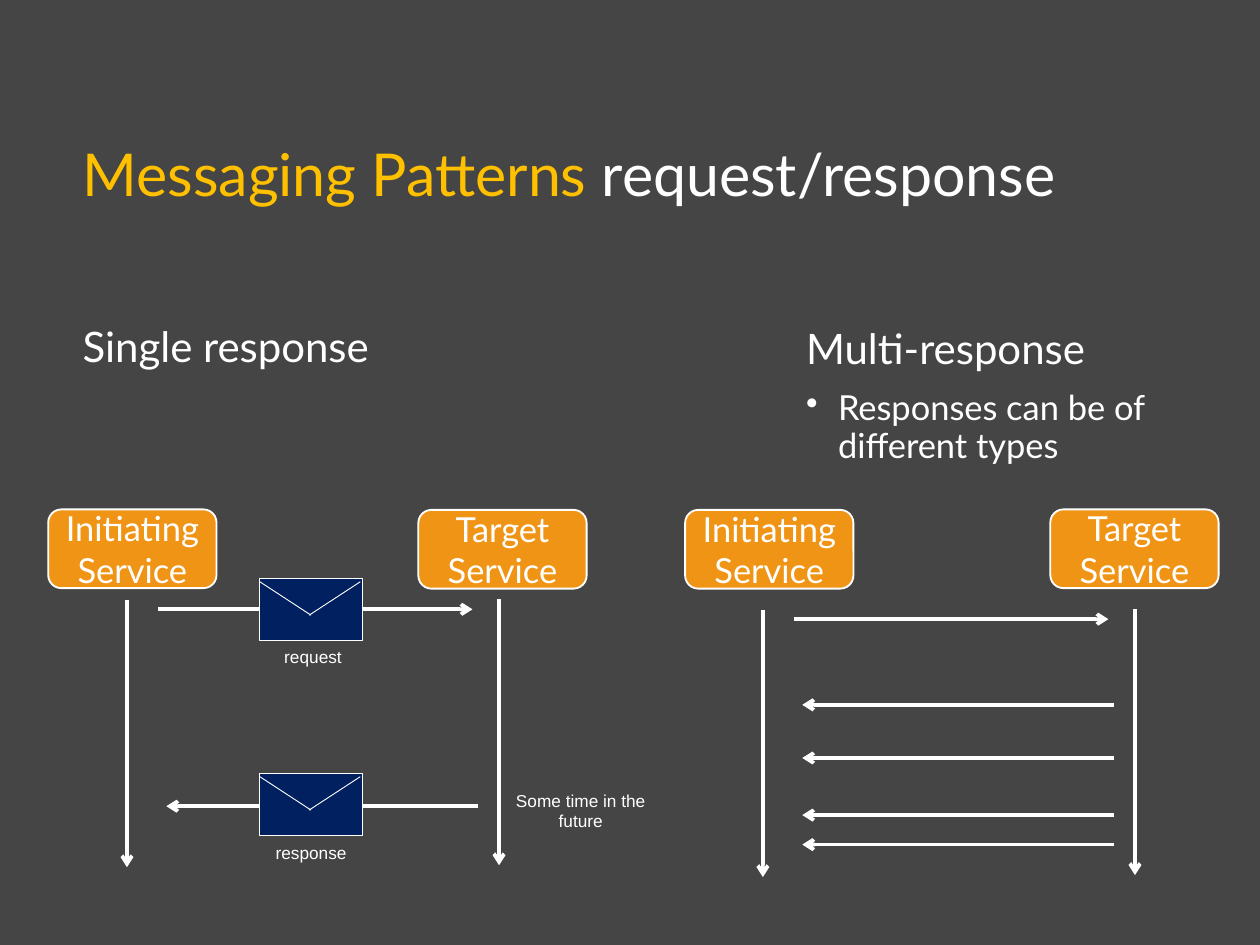
from lxml import etree
from pptx import Presentation
from pptx.dml.color import RGBColor
from pptx.enum.shapes import MSO_CONNECTOR, MSO_SHAPE
from pptx.enum.text import MSO_ANCHOR, PP_ALIGN
from pptx.oxml.ns import qn
from pptx.util import Pt

LINE = MSO_CONNECTOR.STRAIGHT
ROUND, RECT = MSO_SHAPE.ROUNDED_RECTANGLE, MSO_SHAPE.RECTANGLE
MIDDLE, CENTER = MSO_ANCHOR.MIDDLE, PP_ALIGN.CENTER
rgb = RGBColor.from_string
WHITE, GOLD, ORANGE, NAVY, GRAY = map(
    rgb, ("FFFFFF", "FFC000", "F09415", "002060", "454545"))

# The slide is a grid of 128 columns by 96 rows of square cells.
deck = Presentation()
deck.slide_width, deck.slide_height = Pt(1024), Pt(768)
CELL = deck.slide_width / 128
slide = deck.slides.add_slide(deck.slide_layouts[6])
slide.background.fill.solid()
slide.background.fill.fore_color.rgb = GRAY


def draw(shapes, ends, width, arrow=False):
    """Join two grid points, given as x1, y1, x2, y2, with a white line."""
    line = shapes.add_connector(LINE, *(round(v * CELL) for v in ends))
    line.line.color.rgb = WHITE
    line.line.width = Pt(width)
    props = line.line._get_or_add_ln()
    if arrow:
        etree.SubElement(props, qn("a:tailEnd"), type="arrow")
    etree.SubElement(props.getparent(), qn("a:effectLst"))


def write(area, lines, size, font="Lato", align=None, kind=None):
    """Put white lines of text in a text box, or in an orange shape of a kind."""
    area = [round(v * CELL) for v in area]
    if kind is None:
        box = slide.shapes.add_textbox(*area)
    else:
        box = slide.shapes.add_shape(kind, *area)
        box.shadow.inherit = False
        box.fill.solid()
        box.fill.fore_color.rgb = ORANGE
        box.line.color.rgb = WHITE
        box.line.width = Pt(1.5)
        box.text_frame.vertical_anchor = MIDDLE
    frame = box.text_frame
    frame.word_wrap = True
    frame.text = "\n".join(lines)
    for para in frame.paragraphs:
        para.alignment = align
        para.font.name, para.font.size = font, Pt(size)
        para.font.color.rgb = WHITE
    return frame


# Title and headings
title = write((7.5, 10.5, 120.5, 15.1), ["Messaging Patterns "], 48)
title.vertical_anchor = MIDDLE
head = title.paragraphs[0]
head.line_spacing = 0.9
head.runs[0].font.color.rgb = GOLD
head.add_run().text = "request/response"

single = write((7.5, 32.7, 96.4, 50.4), ["Single response"], 34.1)
multi = write((81, 32.9, 47, 50.4),
              ["Multi-response", "Responses can be of different types"], 34.1)
for para in single.paragraphs + multi.paragraphs:
    para.line_spacing = 0.9
    para.space_before = Pt(14.2)
item = multi.paragraphs[1]
item.font.size = Pt(28)
props = item._p.get_or_add_pPr()
props.set("marL", str(Pt(26)))
props.set("indent", str(-Pt(26)))
bullet = etree.Element(qn("a:buChar"), char="•")
props.find(qn("a:defRPr")).addprevious(bullet)

# Both sequences share their layout; the second is moved right and down.
for dx, dy, replies in ((0, 0, [81.9]), (64.6, 1, [71.6, 77, 82.8, 85.8])):
    arrows = [(16.1, 61.9 + dy, 48, 61.9 + dy),
              (12.9, 61 + dy, 12.9, 88.1 + dy),
              (50.7, 60.9 + dy, 50.7, 87.9 + dy)]
    arrows += [(48.6, y, 16.9, y) for y in replies]
    for x1, y1, x2, y2 in arrows:
        draw(slide.shapes, (x1 + dx, y1, x2 + dx, y2), 3, arrow=True)

for name, x, y in (("Target", 42.5, 51.8), ("Initiating", 4.9, 51.75),
                   ("Target", 106.7, 51.75), ("Initiating", 69.6, 51.8)):
    write((x, y, 17.1, 8), [name, "Service"], 28, align=CENTER, kind=ROUND)

# Envelopes
for top in (58.8, 78.6):
    group = slide.shapes.add_group_shape().shapes
    area = (26.4, top, 10.4, 6.3)
    cover = group.add_shape(RECT, *(round(v * CELL) for v in area))
    cover.shadow.inherit = False
    cover.fill.solid()
    cover.fill.fore_color.rgb = NAVY
    cover.line.color.rgb = WHITE
    cover.line.width = Pt(1)
    for x1, x2 in ((26.4, 31.6), (36.6, 31.4)):
        draw(group, (x1, top + 0.3, x2, top + 3.7), 0.75)

# Captions
for text, x, y, high in (("request", 24.3, 65.2, 3.1),
                         ("response", 24.1, 85.1, 3.1),
                         ("Some time in the future", 51.5, 79.8, 5.1)):
    write((x, y, 15, high), [text], 14, "Arial", CENTER)

deck.save("out.pptx")
